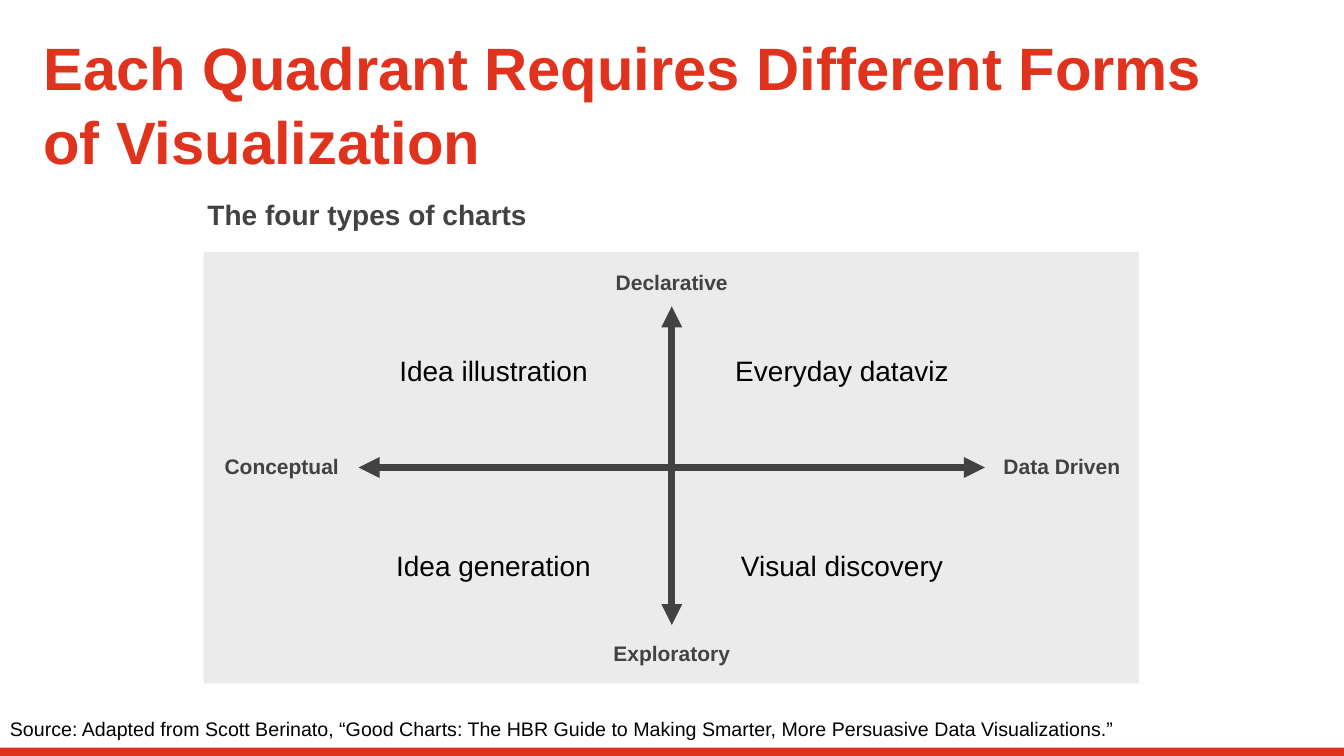
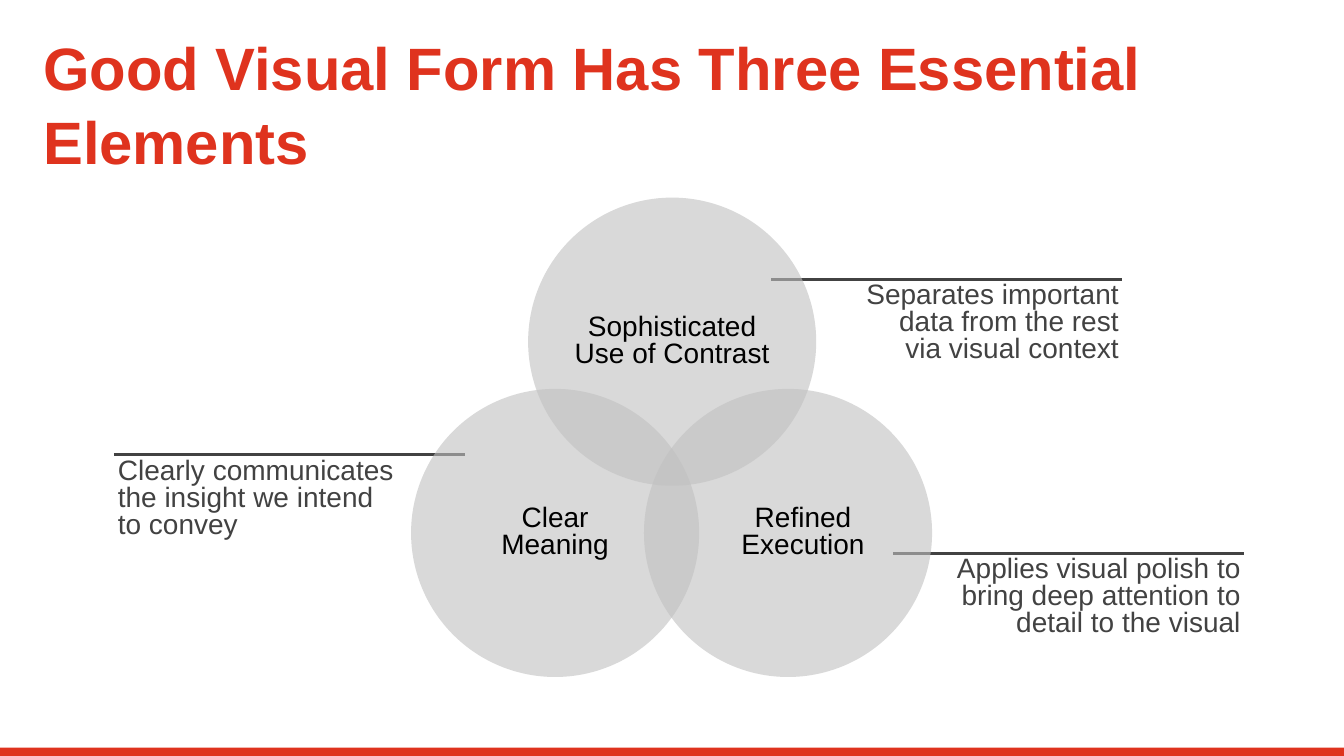
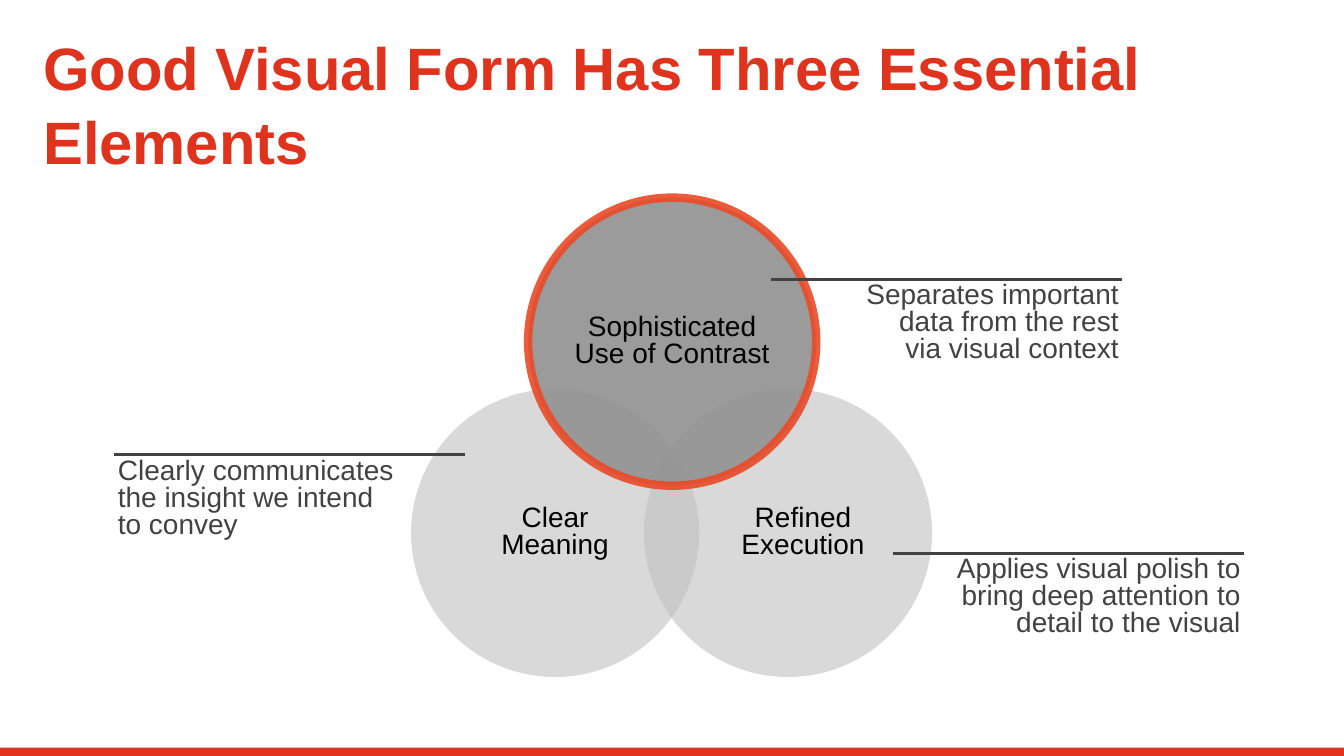
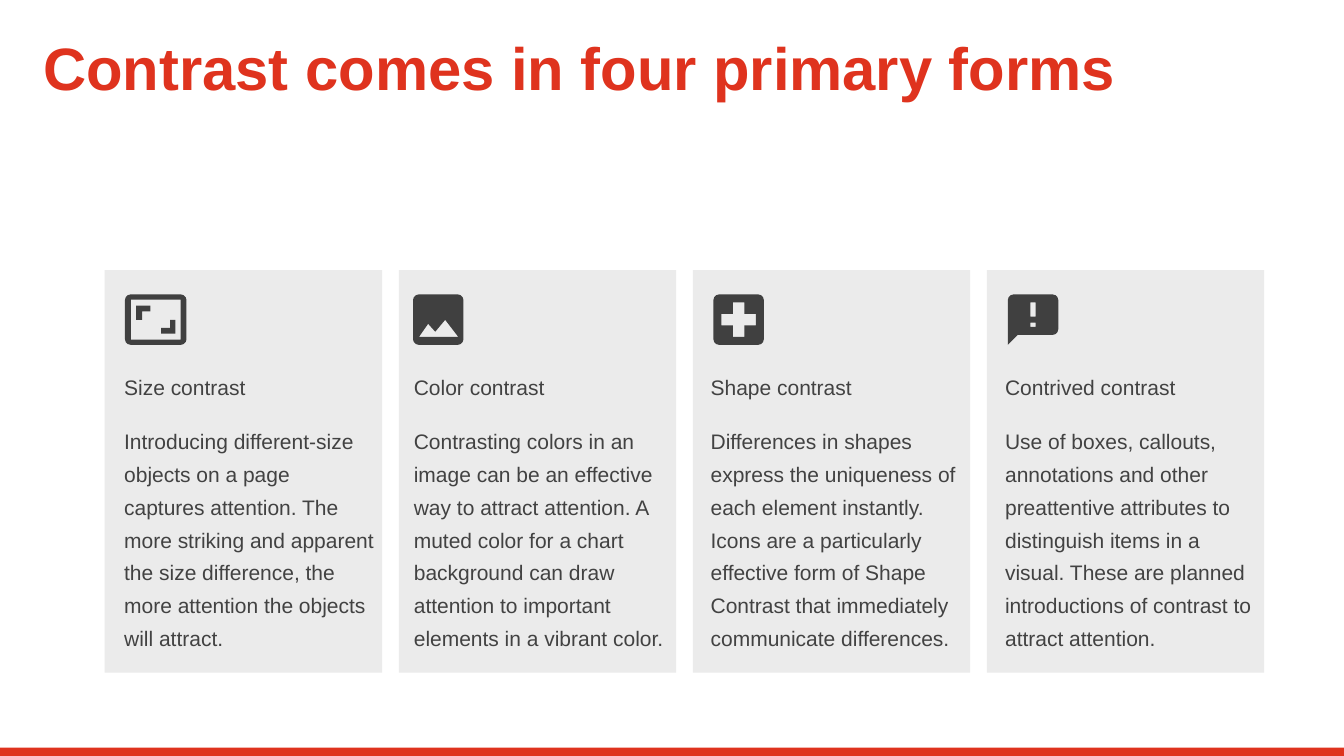
import math

from lxml import etree
from pptx import Presentation
from pptx import util as u
from pptx.dml.color import RGBColor
from pptx.enum import shapes, text
from pptx.oxml.ns import qn

rgb = RGBColor.from_string
RED, DARK, BLACK, PANEL = "DF331E", "424242", "000000", "EBEBEB"
ICON, CIRCLE, FOCUS, RING = "404040", "C0C0C0", "919191", "E94A27"
LEFT, CENTER, RIGHT = text.PP_ALIGN.LEFT, text.PP_ALIGN.CENTER, text.PP_ALIGN.RIGHT
TOP, MIDDLE = text.MSO_ANCHOR.TOP, text.MSO_ANCHOR.MIDDLE
WIDTH = 33.87


def write(shape, lines, size, color, align=LEFT, anchor=TOP, inset=0.1, spacing=1.0, bold=False):
    frame = shape.text_frame
    frame.word_wrap = True
    frame.auto_size = text.MSO_AUTO_SIZE.NONE
    frame.vertical_anchor = anchor
    frame.margin_left = frame.margin_right = u.Cm(inset)
    frame.margin_top = frame.margin_bottom = u.Cm(inset)
    for index, line in enumerate(lines):
        paragraph = frame.add_paragraph() if index else frame.paragraphs[0]
        paragraph.alignment = align
        paragraph.line_spacing = spacing
        run = paragraph.add_run()
        run.text = line
        run.font.name = "Arial"
        run.font.size = u.Pt(size)
        run.font.bold = bold
        run.font.color.rgb = rgb(color)


def paint(shape, color):
    shape.shadow.inherit = False
    shape.fill.solid()
    shape.fill.fore_color.rgb = rgb(color)
    shape.line.fill.background()


presentation = Presentation()
presentation.slide_width = u.Cm(WIDTH)
presentation.slide_height = u.Cm(19.05)

# Title and bottom band on every slide
titles = [
    "Each Quadrant Requires Different Forms of Visualization",
    "Good Visual Form Has Three Essential Elements",
    "Good Visual Form Has Three Essential Elements",
    "Contrast comes in four primary forms",
]
for title_text in titles:
    slide = presentation.slides.add_slide(presentation.slide_layouts[5])
    title = slide.shapes.title
    title.left, title.top = u.Cm(0.84), u.Cm(0.48)
    title.width, title.height = u.Cm(30.76), u.Cm(2.21)
    write(title, [title_text], 42.7, RED, inset=0.25, spacing=1.03, bold=True)
    band = slide.shapes.add_shape(
        shapes.MSO_SHAPE.RECTANGLE, 0, u.Cm(18.84), u.Cm(WIDTH), u.Cm(0.21))
    paint(band, RED)
quadrant_slide, plain_slide, focus_slide, forms_slide = presentation.slides
connectors = []  # connector, width in points, has arrowheads

# Quadrants: panel and axes
panel = quadrant_slide.shapes.add_shape(
    shapes.MSO_SHAPE.RECTANGLE, u.Cm(5.13), u.Cm(6.35), u.Cm(23.57), u.Cm(10.87))
paint(panel, PANEL)
for axis in [(16.93, 15.75, 16.93, 7.72), (9.04, 11.78, 24.82, 11.78)]:
    connector = quadrant_slide.shapes.add_connector(
        shapes.MSO_CONNECTOR.STRAIGHT, *[u.Cm(value) for value in axis])
    connectors.append((connector, 5, True))

# Quadrants: labels as text, left, middle, width, alignment, size, colour, bold
labels = [
    ("The four types of charts", 5.13, 5.41, 10, LEFT, 20, DARK, True),
    ("Conceptual", 5.56, 11.75, 4, LEFT, 15, DARK, True),
    ("Data Driven", 24.33, 11.75, 4, RIGHT, 15, DARK, True),
    ("Declarative", 13.93, 7.12, 6, CENTER, 15, DARK, True),
    ("Exploratory", 13.93, 16.45, 6, CENTER, 15, DARK, True),
    ("Idea illustration", 9.44, 9.32, 6, CENTER, 20, BLACK, False),
    ("Idea generation", 9.44, 14.25, 6, CENTER, 20, BLACK, False),
    ("Everyday dataviz", 18.22, 9.32, 6, CENTER, 20, BLACK, False),
    ("Visual discovery", 18.22, 14.25, 6, CENTER, 20, BLACK, False),
]
for label, left, middle, width, align, size, color, bold in labels:
    box = quadrant_slide.shapes.add_textbox(
        u.Cm(left), u.Cm(middle - 0.5), u.Cm(width), u.Cm(1))
    write(box, [label], size, color, align, MIDDLE, bold=bold)

source = quadrant_slide.shapes.add_textbox(0, u.Cm(17.86), u.Cm(WIDTH), u.Cm(0.97))
write(source, ["Source: Adapted from Scott Berinato, “Good Charts: The HBR Guide to Making "
               "Smarter, More Persuasive Data Visualizations.”"], 14, BLACK, inset=0.2)
source.text_frame.margin_left = u.Cm(0.25)

# Three elements: circles as text, left, top, extra left inset
circles = [
    (["Clear", "Meaning"], 10.36, 9.8, 0),
    (["Refined", "Execution"], 16.23, 9.8, 0.76),
    (["Sophisticated", "Use of Contrast"], 13.31, 4.98, 0),
]
# Notes as text, box left, box width, alignment, line left, top
notes = [
    (["Separates important data from the rest via visual context"],
     21.62, 6.68, RIGHT, 19.43, 7.04),
    (["Applies visual polish to bring deep attention to detail to the visual"],
     23.7, 7.67, RIGHT, 22.5, 13.94),
    (["Clearly communicates the insight we intend", "to convey"],
     2.87, 7.67, LEFT, 2.87, 11.46),
]
for slide, order in [(plain_slide, "notes circles"), (focus_slide, "circles notes")]:
    for part in order.split():
        if part == "notes":
            for lines, left, width, align, line_left, top in notes:
                connector = slide.shapes.add_connector(
                    shapes.MSO_CONNECTOR.STRAIGHT, u.Cm(line_left), u.Cm(top),
                    u.Cm(line_left + 8.84), u.Cm(top))
                connectors.append((connector, 2, False))
                box = slide.shapes.add_textbox(u.Cm(left), u.Cm(top), u.Cm(width), u.Cm(2.26))
                write(box, lines, 20, DARK, align, spacing=0.8)
            continue
        for lines, left, top, shift in circles:
            circle = slide.shapes.add_shape(
                shapes.MSO_SHAPE.OVAL, u.Cm(left), u.Cm(top), u.Cm(7.26), u.Cm(7.26))
            focused = slide is focus_slide and lines[0] == "Sophisticated"
            paint(circle, FOCUS if focused else CIRCLE)
            if focused:
                circle.line.color.rgb = rgb(RING)
                circle.line.width = u.Pt(6)
            for color in circle._element.spPr.iter(qn("a:srgbClr")):
                etree.SubElement(color, qn("a:alpha"), val="90000" if focused else "60000")
            write(circle, lines, 20, BLACK, CENTER, MIDDLE, inset=0.08, spacing=0.8)
            circle.text_frame.margin_left = u.Cm(0.08 + shift)

# Line style of all connectors
for connector, width, has_arrows in connectors:
    connector.line.color.rgb = rgb(DARK)
    connector.line.width = u.Pt(width)
    properties = connector._element.spPr
    if has_arrows:
        for end in ("a:headEnd", "a:tailEnd"):
            etree.SubElement(properties.find(qn("a:ln")), qn(end), type="triangle")
    etree.SubElement(properties, qn("a:effectLst"))

# Forms of contrast: heading, body, text left, icon left
forms = [
    ("Size contrast", "Introducing different-size objects on a page captures attention. "
     "The more striking and apparent the size difference, the more attention the objects "
     "will attract.", 3, 3.15),
    ("Color contrast", "Contrasting colors in an image can be an effective way to attract "
     "attention. A muted color for a chart background can draw attention to important "
     "elements in a vibrant color.", 10.3, 10.41),
    ("Shape contrast", "Differences in shapes express the uniqueness of each element "
     "instantly. Icons are a particularly effective form of Shape Contrast that immediately "
     "communicate differences.", 17.78, 17.98),
    ("Contrived contrast", "Use of boxes, callouts, annotations and other preattentive "
     "attributes to distinguish items in a visual. These are planned introductions of "
     "contrast to attract attention.", 25.2, 25.4),
]
# Icons in hundredths of a centimetre: width, height, has tail, inner outlines
icons = [
    (155, 127, False, [
        [(15, 13), (15, 114), (140, 114), (140, 13)],
        [(64, 43), (64, 28), (28, 28), (28, 64), (43, 64), (43, 43)],
        [(114, 64), (114, 84), (91, 84), (91, 99), (127, 99), (127, 64)]]),
    (127, 127, False, [[(38, 74), (56, 94), (81, 64), (114, 107), (15, 107)]]),
    (127, 127, False, [[
        (107, 78), (107, 49), (78, 49), (78, 20), (49, 20), (49, 49),
        (20, 49), (20, 78), (49, 78), (49, 107), (78, 107), (78, 78)]]),
    (127, 102, True, [
        [(57, 20), (57, 56), (70, 56), (70, 20)],
        [(57, 71), (57, 82), (70, 82), (70, 71)]]),
]
radius = 14
for index, (heading, body, text_left, icon_left) in enumerate(forms):
    card = forms_slide.shapes.add_shape(
        shapes.MSO_SHAPE.RECTANGLE, u.Cm(2.64 + 7.41 * index), u.Cm(6.81),
        u.Cm(6.99), u.Cm(10.14))
    paint(card, PANEL)
    box = forms_slide.shapes.add_textbox(u.Cm(text_left), u.Cm(8.64), u.Cm(6.38), u.Cm(2.34))
    write(box, [heading], 15, DARK, anchor=MIDDLE, inset=0.13, spacing=0.8)
    box = forms_slide.shapes.add_textbox(u.Cm(text_left), u.Cm(10.49), u.Cm(6.6), u.Cm(6.17))
    write(box, [body], 15, DARK, inset=0.13, spacing=1.3)

    # Rounded outline, clockwise from the top right corner
    width, height, has_tail, inner = icons[index]
    right, bottom = width - radius, height - radius
    outline = []
    for corner, (x, y) in enumerate(
            [(right, radius), (right, bottom), (radius, bottom), (radius, radius)]):
        if has_tail and corner == 2:
            outline += [(25, height), (0, 127)]
            continue
        for step in range(4):
            angle = math.radians(90 * corner - 90 + 30 * step)
            outline.append((x + radius * math.cos(angle), y + radius * math.sin(angle)))
    builder = forms_slide.shapes.build_freeform(*outline[0], scale=u.Cm(0.01))
    builder.add_line_segments(outline[1:])
    for points in inner:
        builder.move_to(*points[0])
        builder.add_line_segments(points[1:])
    paint(builder.convert_to_shape(u.Cm(icon_left), u.Cm(7.42)), ICON)

presentation.save("out.pptx")
